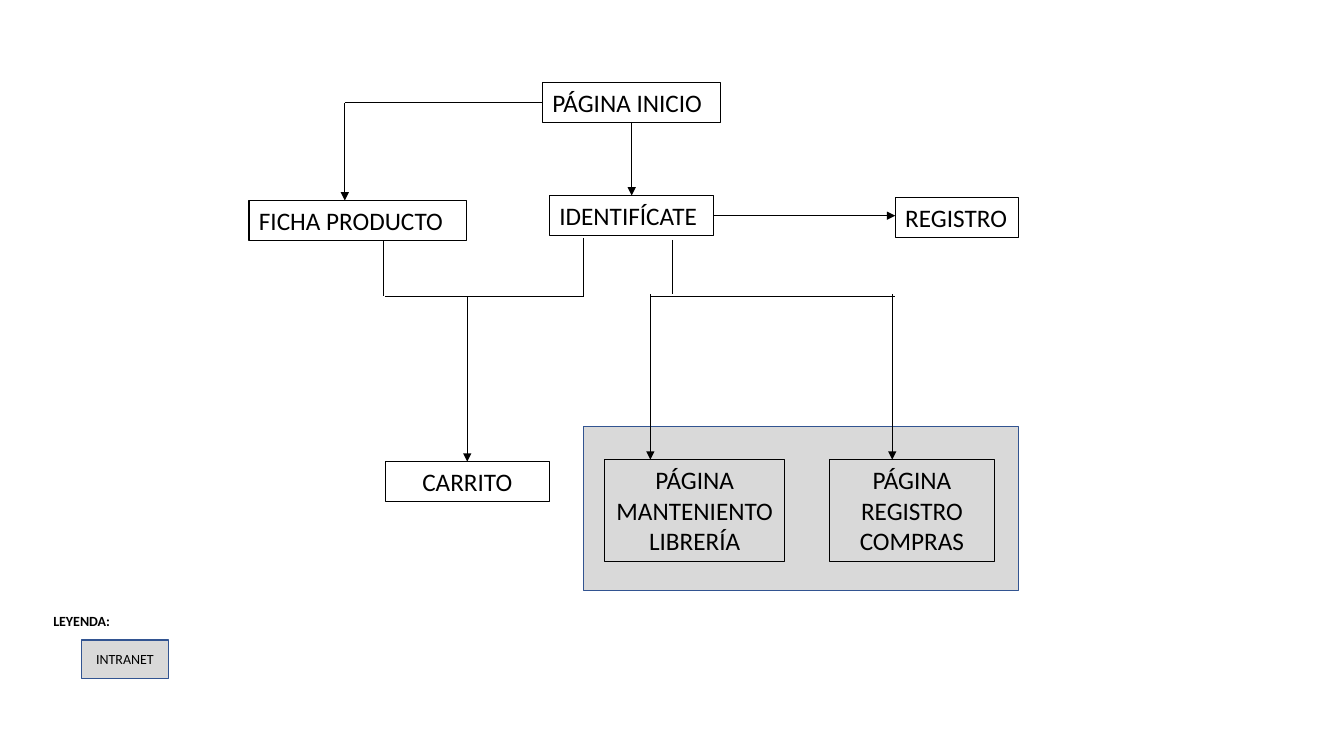
from dataclasses import dataclass

from lxml import etree
from pptx import Presentation
from pptx import util as u
from pptx.dml.color import RGBColor
from pptx.enum import shapes, text
from pptx.oxml.ns import qn


@dataclass(frozen=True)
class Theme:
    font: str = "Calibri"
    ink: RGBColor = RGBColor(0, 0, 0)
    intranet_fill: RGBColor = RGBColor(0xD9, 0xD9, 0xD9)
    intranet_line: RGBColor = RGBColor(0x32, 0x54, 0x91)
    page_size: float = 18
    legend_size: float = 10
    page_line: float = 0.75
    intranet_edge: float = 1
    arrow_line: float = 0.5


THEME = Theme()
CELL = 0.1  # inches per grid column and row
TOP, LEFT, BOTTOM, RIGHT = range(4)


def cells(*counts):
    return [u.Inches(count * CELL) for count in counts]


def within(region, left, top, *size):
    return cells(region[0] + left, region[1] + top, *size)


def write(frame, label, size, align, bold=False):
    frame.word_wrap = True
    line = frame.paragraphs[0]
    line.text = label
    line.alignment = align
    line.font.name = THEME.font
    line.font.size = u.Pt(size)
    line.font.bold = bold
    line.font.color.rgb = THEME.ink


def add_rect(slide, place, line_color, line_width, fill=None):
    rect = slide.shapes.add_shape(shapes.MSO_SHAPE.RECTANGLE, *place)
    rect.shadow.inherit = False
    rect.line.color.rgb = line_color
    rect.line.width = u.Pt(line_width)
    if fill is None:
        rect.fill.background()
    else:
        rect.fill.solid()
        rect.fill.fore_color.rgb = fill
    return rect


def add_intranet(slide, place):
    return add_rect(slide, place, THEME.intranet_line, THEME.intranet_edge,
                    THEME.intranet_fill)


def add_page(slide, place, label, align):
    page = add_rect(slide, place, THEME.ink, THEME.page_line)
    frame = page.text_frame
    write(frame, label, THEME.page_size, align)
    frame.vertical_anchor = text.MSO_ANCHOR.TOP
    frame.auto_size = text.MSO_AUTO_SIZE.SHAPE_TO_FIT_TEXT
    if align == text.PP_ALIGN.LEFT:
        frame.margin_right = 0
    return page


def add_link(slide, region, start, end, arrow=False):
    link = slide.shapes.add_connector(shapes.MSO_CONNECTOR.STRAIGHT,
                                      *within(region, *start), *within(region, *end))
    link.line.color.rgb = THEME.ink
    link.line.width = u.Pt(THEME.arrow_line)
    if arrow:
        etree.SubElement(link.line._get_or_add_ln(), qn("a:tailEnd"), type="triangle")
    etree.SubElement(link._element.spPr, qn("a:effectLst"))
    return link


def draw_sitemap(slide, region):
    add_intranet(slide, within(region, 33.2, 34.1, 43.1, 16.3))

    # Pages
    left, center = text.PP_ALIGN.LEFT, text.PP_ALIGN.CENTER
    pages = {
        label: add_page(slide, within(region, *place), label, align)
        for label, place, align in [
            ("PÁGINA INICIO", (29.1, 0, 17.7, 4), left),
            ("IDENTIFÍCATE", (29.8, 11.2, 16.3, 4), left),
            ("REGISTRO", (64.1, 11.4, 12.2, 4), left),
            ("CARRITO", (13.5, 37.6, 16.3, 4), center),
            ("FICHA PRODUCTO", (0, 11.7, 21.6, 4), left),
            ("PÁGINA MANTENIENTO LIBRERÍA", (35.3, 37.4, 17.8, 10.1), center),
            ("PÁGINA REGISTRO COMPRAS", (57.6, 37.4, 16.3, 10.1), center),
        ]
    }
    home, login, cart = (pages[label] for label in
                         ("PÁGINA INICIO", "IDENTIFÍCATE", "CARRITO"))

    # Links that meet the middle of a page's side
    home_to_login = add_link(slide, region, (37.95, 4), (37.95, 11.2), arrow=True)
    home_to_login.begin_connect(home, BOTTOM)
    home_to_login.end_connect(login, TOP)
    home_to_product = add_link(slide, region, (9.5, 2), (29.1, 2))
    home_to_product.end_connect(home, LEFT)
    login_to_signup = add_link(slide, region, (46.1, 13.2), (64.1, 13.2), arrow=True)
    login_to_signup.begin_connect(login, RIGHT)
    to_cart = add_link(slide, region, (21.65, 21.2), (21.65, 37.6), arrow=True)
    to_cart.end_connect(cart, TOP)

    # Arrows down to the product page and the two intranet pages
    for column, top, bottom in [(9.5, 2, 11.7), (39.8, 21, 37.4), (63.8, 21, 37.4)]:
        add_link(slide, region, (column, top), (column, bottom), arrow=True)

    # Stems and crossbars
    for column, top, bottom in [(13.3, 15.7, 21.2), (33.2, 15.4, 21.2), (42, 15.6, 21)]:
        add_link(slide, region, (column, top), (column, bottom))
    for start, end in [(13.5, 33.2), (39.8, 64.1)]:
        add_link(slide, region, (start, 21.2), (end, 21.2))


def draw_legend(slide, region):
    key = add_intranet(slide, within(region, 4.3, 3.8, 8.6, 3.8))
    title = slide.shapes.add_textbox(*within(region, 0, 0, 8.6, 3.8))
    for entry, label, bold in [(key, "INTRANET", False), (title, "LEYENDA:", True)]:
        write(entry.text_frame, label, THEME.legend_size, text.PP_ALIGN.CENTER, bold)
        entry.text_frame.vertical_anchor = text.MSO_ANCHOR.MIDDLE


def main():
    deck = Presentation()
    deck.slide_width, deck.slide_height = u.Inches(13.33), u.Inches(7.5)
    slide = deck.slides.add_slide(deck.slide_layouts[6])
    draw_sitemap(slide, (24.7, 8.2))
    draw_legend(slide, (3.8, 59.7))
    deck.save("out.pptx")


if __name__ == "__main__":
    main()
